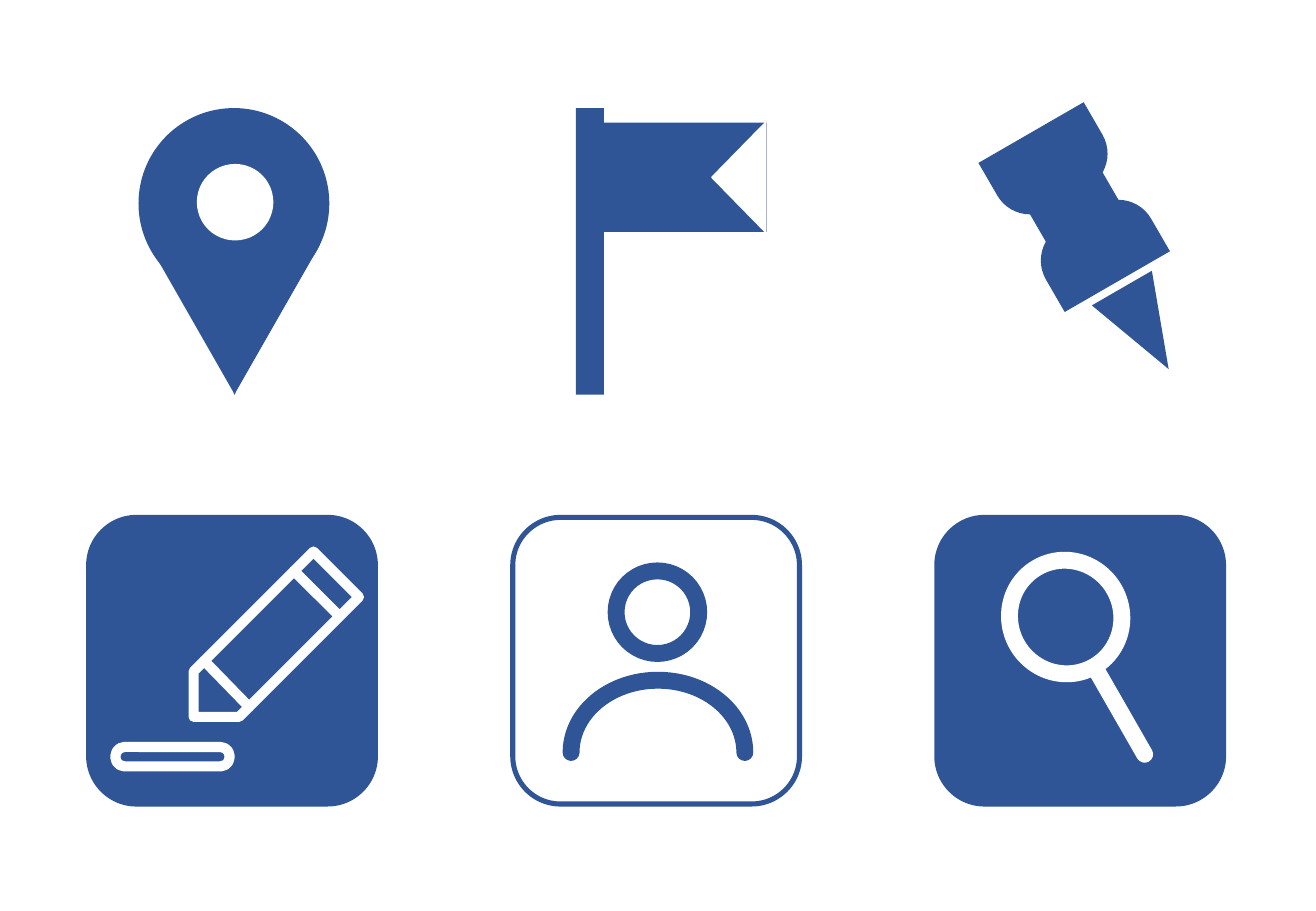
from lxml import etree
from pptx import Presentation
from pptx.dml.color import RGBColor
from pptx.enum import shapes
from pptx.oxml import ns
from pptx.util import Inches, Pt

BLUE = RGBColor(0x2F, 0x55, 0x97)
WHITE = RGBColor(0xFF, 0xFF, 0xFF)
Kind = shapes.MSO_SHAPE
THIN, FRAME, MEDIUM, THICK = 1, 3, 6, 10
TILE_LEFT, TILE_STEP, TILE_TOP, TILE_SIZE = 0.73, 3.49, 4.26, 2.36


class IconSheet:
    def __init__(self, page):
        self.page = page

    def stroke(self, element, color, width):
        element.line.color.rgb = color
        element.line.width = Pt(width)
        outline = element.line._get_or_add_ln()
        outline.set("cap", "rnd")
        etree.SubElement(outline, ns.qn("a:round"))

    def shape(self, kind, left, top, width, height, fill=BLUE, line=None,
              weight=MEDIUM, turn=0, adjust=()):
        shape = self.page.shapes.add_shape(
            kind, Inches(left), Inches(top), Inches(width), Inches(height))
        shape.shadow.inherit = False
        shape.rotation = turn
        for index, value in enumerate(adjust):
            shape.adjustments[index] = value
        if fill is None:
            shape.fill.background()
        else:
            shape.fill.solid()
            shape.fill.fore_color.rgb = fill
        if line is None:
            shape.line.fill.background()
        else:
            self.stroke(shape, line, weight)

    def line(self, start, end, weight=MEDIUM):
        line = self.page.shapes.add_connector(
            shapes.MSO_CONNECTOR.STRAIGHT, *map(Inches, (*start, *end)))
        self.stroke(line, WHITE, weight)
        etree.SubElement(line._element.spPr, ns.qn("a:effectLst"))

    def tile(self, column, fill=BLUE):
        self.shape(Kind.ROUNDED_RECTANGLE, TILE_LEFT + column * TILE_STEP, TILE_TOP,
                   TILE_SIZE, TILE_SIZE, fill, BLUE, FRAME)


def draw_map_pin(sheet):
    sheet.shape(Kind.OVAL, 1.14, 0.89, 1.57, 1.57)
    sheet.shape(Kind.OVAL, 1.62, 1.35, 0.63, 0.63, WHITE)
    for left, apex in ((1.68, 0.74), (1.23, 0.26)):
        sheet.shape(Kind.ISOSCELES_TRIANGLE, left, 2.02, 0.95, 1.23,
                    turn=180, adjust=[apex])


def draw_flag(sheet):
    sheet.shape(Kind.RECTANGLE, 4.74, 0.89, 0.23, 2.36)
    sheet.shape(Kind.RECTANGLE, 4.97, 1.01, 1.34, 0.9)
    sheet.shape(Kind.ISOSCELES_TRIANGLE, 5.63, 1.24, 0.9, 0.44, WHITE, WHITE, THIN,
                turn=270)


def draw_push_pin(sheet):
    sheet.shape(Kind.RECTANGLE, 8.51, 1.23, 0.69, 1, turn=330)
    for left, top, turn in ((8.54, 1.74, 330), (8.14, 1.05, 150)):
        sheet.shape(Kind.ROUND_2_SAME_RECTANGLE, left, top, 1, 0.62,
                    turn=turn, adjust=[0.5, 0])
    sheet.shape(Kind.ISOSCELES_TRIANGLE, 9.14, 2.32, 0.57, 0.77, turn=150)


def draw_pencil(sheet):
    sheet.tile(0)
    sheet.shape(Kind.ROUNDED_RECTANGLE, 0.95, 6.15, 0.94, 0.16, line=WHITE, adjust=[0.47])
    sheet.shape(Kind.PENTAGON, 1.35, 5.05, 1.66, 0.53, line=WHITE, turn=135)
    sheet.line((2.42, 4.7), (2.79, 5.07))
    sheet.line((1.68, 5.44), (2.05, 5.82))


def draw_person(sheet):
    sheet.tile(1, WHITE)
    sheet.shape(Kind.OVAL, 5.07, 4.7, 0.68, 0.68, None, BLUE, THICK)
    sheet.shape(Kind.ARC, 4.7, 5.6, 1.43, 1.19, None, BLUE, THICK, adjust=[108, 0])


def draw_magnifier(sheet):
    sheet.tile(2)
    sheet.shape(Kind.OVAL, 8.31, 4.61, 0.92, 0.94, BLUE, WHITE, THICK, turn=330)
    sheet.line((9.03, 5.53), (9.42, 6.21), THICK)


deck = Presentation()
deck.slide_width, deck.slide_height = Inches(10.83), Inches(7.5)
sheet = IconSheet(deck.slides.add_slide(deck.slide_layouts[6]))
for draw in (draw_map_pin, draw_flag, draw_push_pin,
             draw_pencil, draw_person, draw_magnifier):
    draw(sheet)
deck.save("out.pptx")
